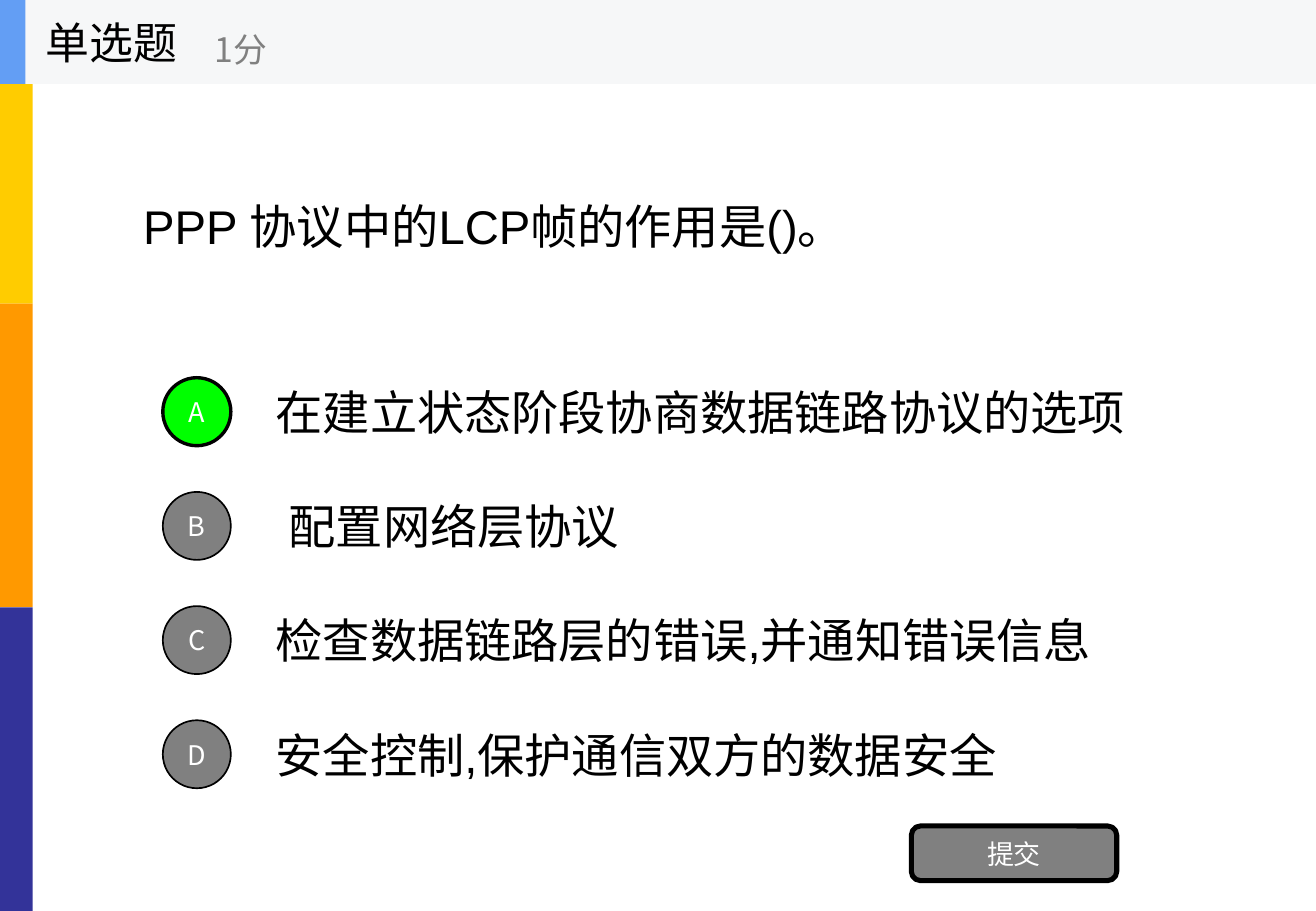
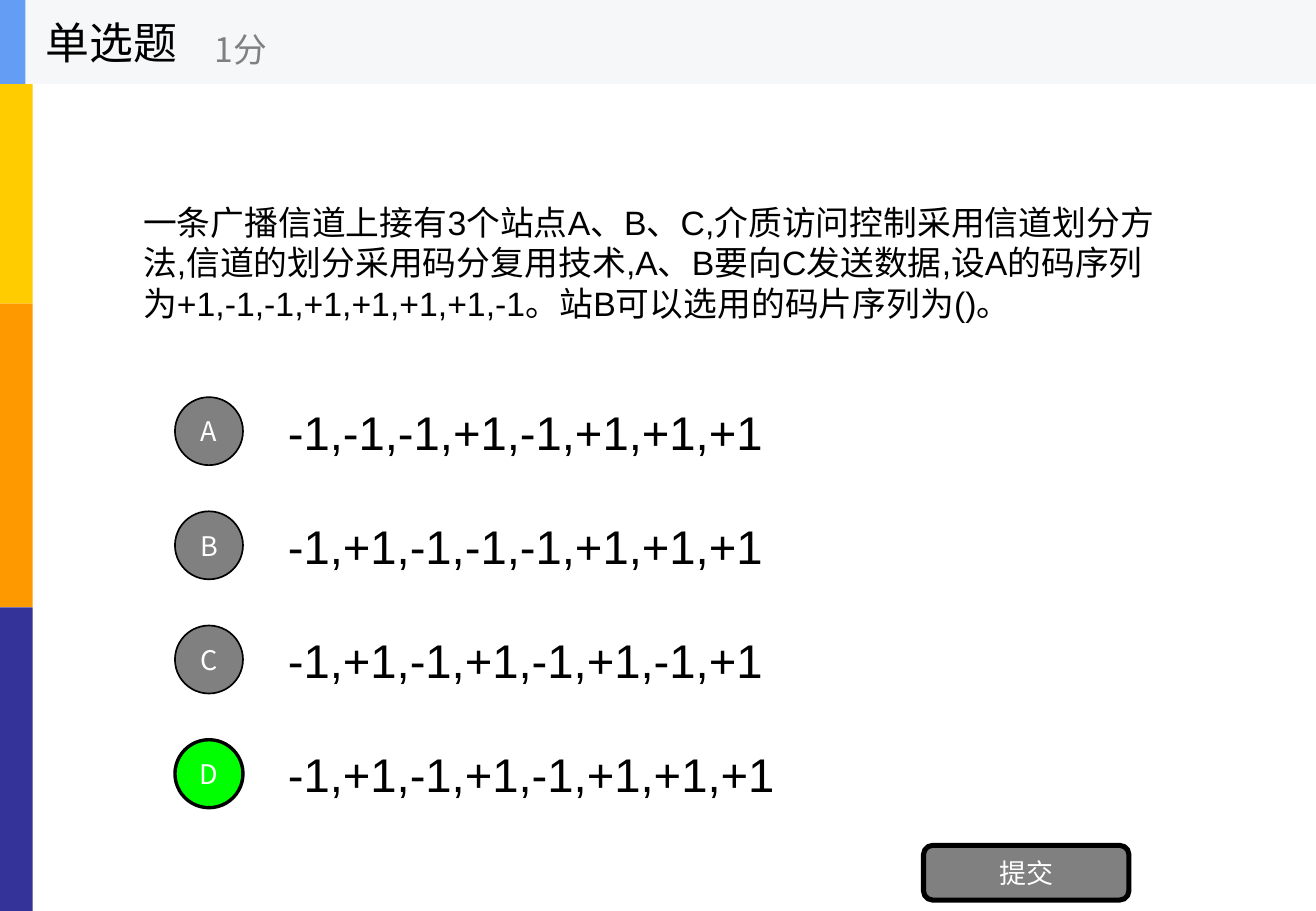
from dataclasses import dataclass

import pptx
import pptx.dml.color
import pptx.enum.shapes
import pptx.enum.text
import pptx.oxml.ns
import pptx.util
from lxml import etree

Inches = pptx.util.Inches
RGBColor = pptx.dml.color.RGBColor
Shape = pptx.enum.shapes.MSO_SHAPE
Align = pptx.enum.text.PP_ALIGN

BLACK = RGBColor(0x00, 0x00, 0x00)
WHITE = RGBColor(0xFF, 0xFF, 0xFF)
GRAY = RGBColor(0x80, 0x80, 0x80)
GREEN = RGBColor(0x00, 0xFF, 0x00)
YELLOW = RGBColor(0xFF, 0xCC, 0x00)
ORANGE = RGBColor(0xFF, 0x99, 0x00)
INDIGO = RGBColor(0x33, 0x33, 0x99)
HEADER_GRAY = RGBColor(0xF6, 0xF7, 0xF8)
HEADER_BLUE = RGBColor(0x63, 0x9E, 0xF4)

BODY_FONT = "Arial"
LABEL_FONT = "Noto Sans CJK SC"

SLIDE_WIDTH = 10.83
SLIDE_HEIGHT = 7.5
HEADER_HEIGHT = 0.69
BAND_HEIGHT = 2.5
OPTION_PITCH = 0.94
OPTION_HEIGHT = 0.7
CIRCLE_SIZE = 0.56


@dataclass(frozen=True)
class Question:
    text: str
    size: int
    top: float
    options: tuple[str, ...]
    answer: str
    options_left: float
    options_top: float


QUESTIONS = (
    Question(
        "PPP 协议中的LCP帧的作用是()。", 28, 0.69,
        (
            "在建立状态阶段协商数据链路协议的选项",
            " 配置网络层协议",
            "检查数据链路层的错误,并通知错误信息",
            "安全控制,保护通信双方的数据安全",
        ),
        "A", 2.17, 3.04,
    ),
    Question(
        "一条广播信道上接有3个站点A、B、C,介质访问控制采用信道划分方法,"
        "信道的划分采用码分复用技术,A、B要向C发送数据,"
        "设A的码序列为+1,-1,-1,+1,+1,+1,+1,-1。站B可以选用的码片序列为()。",
        20, 0.99,
        (
            "-1,-1,-1,+1,-1,+1,+1,+1",
            "-1,+1,-1,-1,-1,+1,+1,+1",
            "-1,+1,-1,+1,-1,+1,-1,+1",
            "-1,+1,-1,+1,-1,+1,+1,+1",
        ),
        "D", 2.27, 3.20,
    ),
)


def write_text(shape, text: str, *, size: int, color: RGBColor = BLACK,
               font: str = BODY_FONT, align=Align.LEFT) -> None:
    frame = shape.text_frame
    frame.word_wrap = True
    frame.vertical_anchor = pptx.enum.text.MSO_ANCHOR.MIDDLE
    para = frame.paragraphs[0]
    para.alignment = align
    span = para.add_run()
    span.text = text
    span.font.size = pptx.util.Pt(size)
    span.font.color.rgb = color
    span.font.name = font
    east_asian = etree.SubElement(span.font._element, pptx.oxml.ns.qn("a:ea"))
    east_asian.set("typeface", font)


def add_text(page, text: str, left: float, top: float, width: float,
             height: float, **style) -> None:
    box = page.shapes.add_textbox(
        Inches(left), Inches(top), Inches(width), Inches(height))
    write_text(box, text, **style)


def add_block(page, kind, left: float, top: float, width: float, height: float,
              fill: RGBColor, line_width: float = 0):
    block = page.shapes.add_shape(
        kind, Inches(left), Inches(top), Inches(width), Inches(height))
    block.shadow.inherit = False
    block.fill.solid()
    block.fill.fore_color.rgb = fill
    if line_width:
        block.line.color.rgb = BLACK
        block.line.width = pptx.util.Pt(line_width)
    else:
        block.line.fill.background()
    return block


def add_button(page, kind, text: str, left: float, top: float, width: float,
               height: float, fill: RGBColor, line_width: float) -> None:
    button = add_block(page, kind, left, top, width, height, fill, line_width)
    frame = button.text_frame
    frame.margin_left = frame.margin_right = Inches(0)
    frame.margin_top = frame.margin_bottom = Inches(0)
    write_text(button, text, size=16, color=WHITE, font=LABEL_FONT,
               align=Align.CENTER)


def add_bands(page) -> None:
    for row, color in enumerate((YELLOW, ORANGE, INDIGO)):
        add_block(page, Shape.RECTANGLE, 0, row * BAND_HEIGHT, 0.27,
                  BAND_HEIGHT, color)


def add_header(page) -> None:
    for width, color in ((SLIDE_WIDTH, HEADER_GRAY), (0.21, HEADER_BLUE)):
        add_block(page, Shape.RECTANGLE, 0, 0, width, HEADER_HEIGHT, color)
    add_text(page, "单选题", 0.28, 0, 2.08, HEADER_HEIGHT, size=26,
             font=LABEL_FONT)
    add_text(page, "1分", 1.67, 0.12, 2.5, 0.56, size=20, color=GRAY,
             font=LABEL_FONT)


def add_options(page, question: Question) -> None:
    left = question.options_left
    for row, (letter, option) in enumerate(zip("ABCD", question.options)):
        top = question.options_top + row * OPTION_PITCH
        add_text(page, option, left, top, 7.58, OPTION_HEIGHT, size=28)
        correct = letter == question.answer
        add_button(page, Shape.OVAL, letter, left - 0.83,
                   top + (OPTION_HEIGHT - CIRCLE_SIZE) / 2, CIRCLE_SIZE,
                   CIRCLE_SIZE, GREEN if correct else GRAY, 2 if correct else 1)
    add_button(page, Shape.ROUNDED_RECTANGLE, "提交", left + 5.33,
               question.options_top + 4 * OPTION_PITCH, 1.69, 0.45, GRAY, 3)


def add_question(deck, question: Question) -> None:
    page = deck.slides.add_slide(deck.slide_layouts[6])
    add_bands(page)
    add_text(page, question.text, 1.08, question.top, 8.67, 2.34,
             size=question.size)
    add_options(page, question)
    add_header(page)


def main() -> None:
    deck = pptx.Presentation()
    deck.slide_width = Inches(SLIDE_WIDTH)
    deck.slide_height = Inches(SLIDE_HEIGHT)
    for question in QUESTIONS:
        add_question(deck, question)
    deck.save("out.pptx")


if __name__ == "__main__":
    main()
